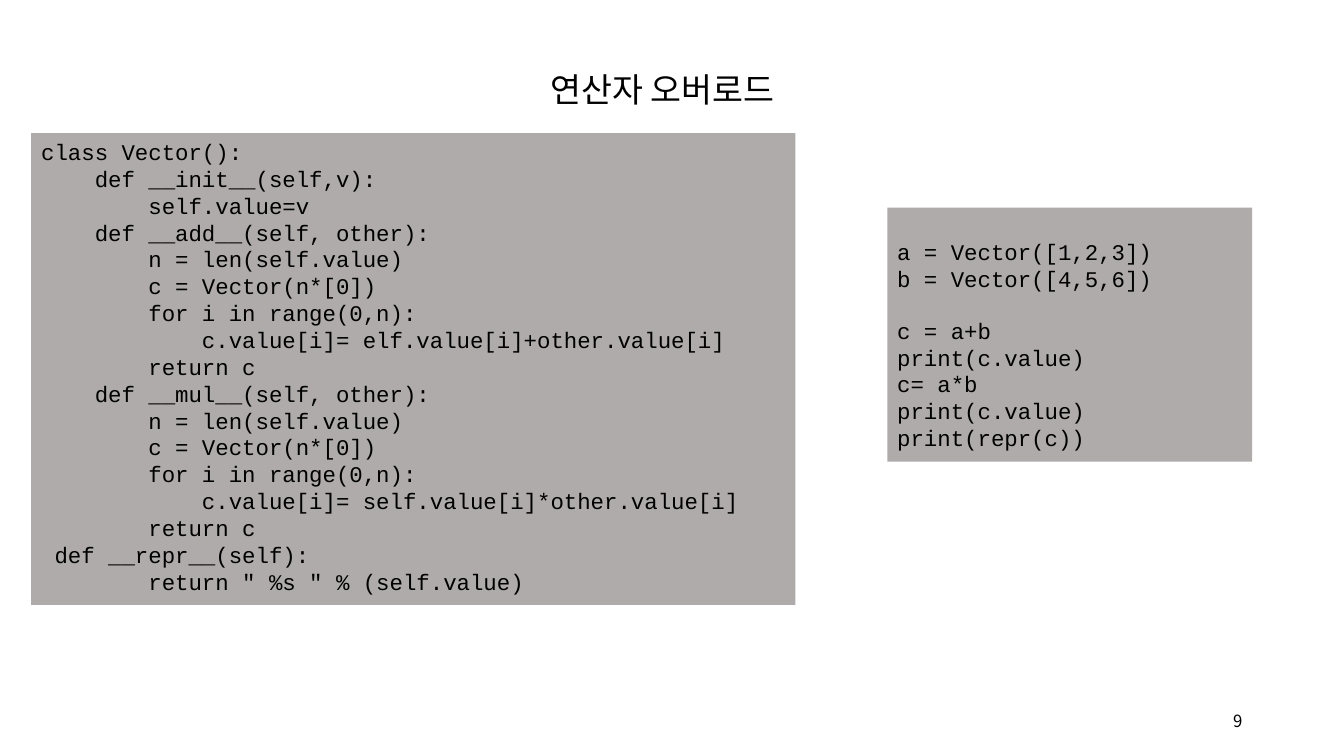
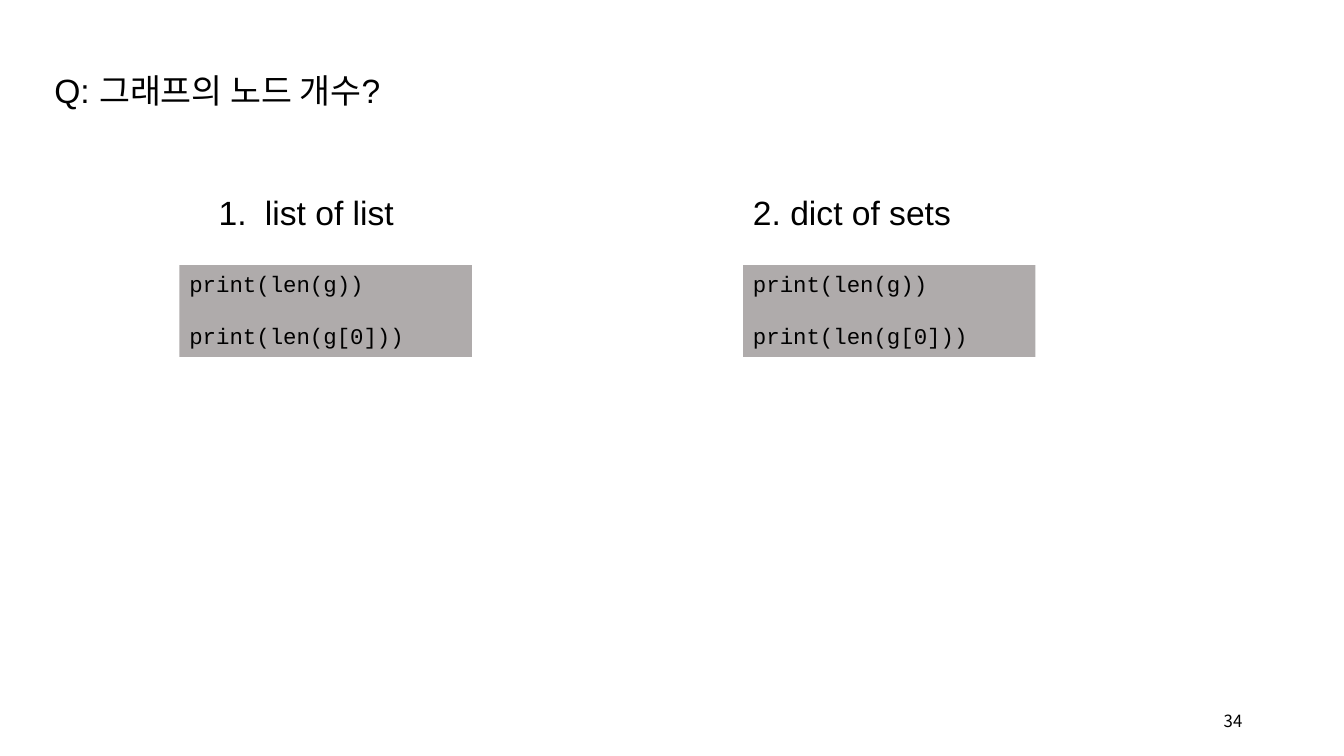
from dataclasses import dataclass
from typing import Any

from lxml.etree import SubElement
from pptx import Presentation
from pptx.dml.color import RGBColor
from pptx.enum.shapes import MSO_SHAPE as Shape
from pptx.enum.text import MSO_ANCHOR as Anchor, MSO_AUTO_SIZE as AutoSize, PP_ALIGN as Align
from pptx.oxml.ns import qn
from pptx.util import Pt

EMU_PER_PX = 9144
SLIDE_WIDTH, SLIDE_HEIGHT = 1333, 750
BLANK_LAYOUT = 6


@dataclass(frozen=True)
class Theme:
    ink: RGBColor = RGBColor(0x00, 0x00, 0x00)
    panel: RGBColor = RGBColor(0xAF, 0xAB, 0xAB)
    heading_font: str = "Arial"
    code_font: str = "Courier New"
    number_font: str = "Noto Sans CJK KR"
    heading_size: Pt = Pt(24)
    code_size: Pt = Pt(16)
    code_line: Pt = Pt(18)
    number_size: Pt = Pt(12)
    heading_spacing: float = 1.5


THEME = Theme()
HEADING = {"name": THEME.heading_font, "size": THEME.heading_size}
CODE = {"name": THEME.code_font, "size": THEME.code_size}
NUMBER = {"name": THEME.number_font, "size": THEME.number_size}


@dataclass(frozen=True)
class Box:
    left: int
    top: int
    width: int
    height: int

    def emu(self) -> list[int]:
        return [px(side) for side in (self.left, self.top, self.width, self.height)]


@dataclass(frozen=True)
class Heading:
    text: str
    box: Box
    tab: int = 0


@dataclass(frozen=True)
class CodePanel:
    code: str
    box: Box
    inset_top: int = 5


@dataclass(frozen=True)
class Page:
    number: int
    headings: list[Heading]
    panels: list[CodePanel]


def px(length: int) -> int:
    return length * EMU_PER_PX


def apply(target: Any, values: dict[str, Any]) -> None:
    for name, value in values.items():
        setattr(target, name, value)


def write(paragraph: Any, text: str, font: dict[str, Any]) -> None:
    run = paragraph.add_run()
    run.text = text
    apply(run.font, font)
    run.font.color.rgb = THEME.ink


def add_heading(slide: Any, heading: Heading) -> None:
    frame = slide.shapes.add_textbox(*heading.box.emu()).text_frame
    apply(frame, {"word_wrap": True, "auto_size": AutoSize.SHAPE_TO_FIT_TEXT})
    paragraph = frame.paragraphs[0]
    if heading.tab:
        tabs = SubElement(paragraph._p.get_or_add_pPr(), qn("a:tabLst"))
        SubElement(tabs, qn("a:tab"), pos=str(px(heading.tab)), algn="l")
    paragraph.line_spacing = THEME.heading_spacing
    write(paragraph, heading.text, HEADING)


def add_code_panel(slide: Any, panel: CodePanel) -> None:
    """Draw a code block; each empty line becomes space before the next one."""
    shape = slide.shapes.add_shape(Shape.RECTANGLE, *panel.box.emu())
    shape.shadow.inherit = False
    shape.fill.solid()
    shape.fill.fore_color.rgb = THEME.panel
    shape.line.fill.background()
    frame = shape.text_frame
    apply(frame, {"word_wrap": True, "vertical_anchor": Anchor.TOP,
                  "margin_top": px(panel.inset_top)})
    paragraph, gap = frame.paragraphs[0], 0
    for index, line in enumerate(panel.code.splitlines()):
        if not line:
            gap += THEME.code_line
            continue
        if index:
            paragraph = frame.add_paragraph()
        apply(paragraph, {"alignment": Align.LEFT, "space_before": gap})
        write(paragraph, line, CODE)
        gap = 0


def add_page_number(slide: Any, number: int) -> None:
    frame = slide.shapes.add_textbox(*Box(1187, 695, 55, 40).emu()).text_frame
    apply(frame, {"word_wrap": True, "vertical_anchor": Anchor.MIDDLE})
    paragraph = frame.paragraphs[0]
    paragraph.alignment = Align.RIGHT
    write(paragraph, str(number), NUMBER)


VECTOR_CLASS = '''class Vector():
    def __init__(self,v):
        self.value=v
    def __add__(self, other):
        n = len(self.value)
        c = Vector(n*[0])
        for i in range(0,n):
            c.value[i]= elf.value[i]+other.value[i]
        return c
    def __mul__(self, other):
        n = len(self.value)
        c = Vector(n*[0])
        for i in range(0,n):
            c.value[i]= self.value[i]*other.value[i]
        return c
 def __repr__(self):
        return " %s " % (self.value)'''

VECTOR_USE = """a = Vector([1,2,3])
b = Vector([4,5,6])

c = a+b
print(c.value)
c= a*b
print(c.value)
print(repr(c))"""

NODE_COUNT = """print(len(g))

print(len(g[0]))"""

PAGES = [
    Page(
        9,
        [Heading("연산자 오버로드", Box(536, 43, 265, 71))],
        [CodePanel(VECTOR_CLASS, Box(31, 132, 758, 468)),
         CodePanel(VECTOR_USE, Box(880, 206, 362, 252), inset_top=30)],
    ),
    Page(
        34,
        [Heading("Q: 그래프의 노드 개수?", Box(44, 44, 372, 71)),
         Heading("1.\tlist of list", Box(207, 165, 200, 71), tab=46),
         Heading("2. dict of sets", Box(737, 165, 224, 71))],
        [CodePanel(NODE_COUNT, Box(left, 263, 290, 91)) for left in (178, 737)],
    ),
]


def main() -> None:
    presentation = Presentation()
    apply(presentation, {"slide_width": px(SLIDE_WIDTH), "slide_height": px(SLIDE_HEIGHT)})
    for page in PAGES:
        slide = presentation.slides.add_slide(presentation.slide_layouts[BLANK_LAYOUT])
        add_page_number(slide, page.number)
        for panel in page.panels:
            add_code_panel(slide, panel)
        for heading in page.headings:
            add_heading(slide, heading)
    presentation.save("out.pptx")


if __name__ == "__main__":
    main()
